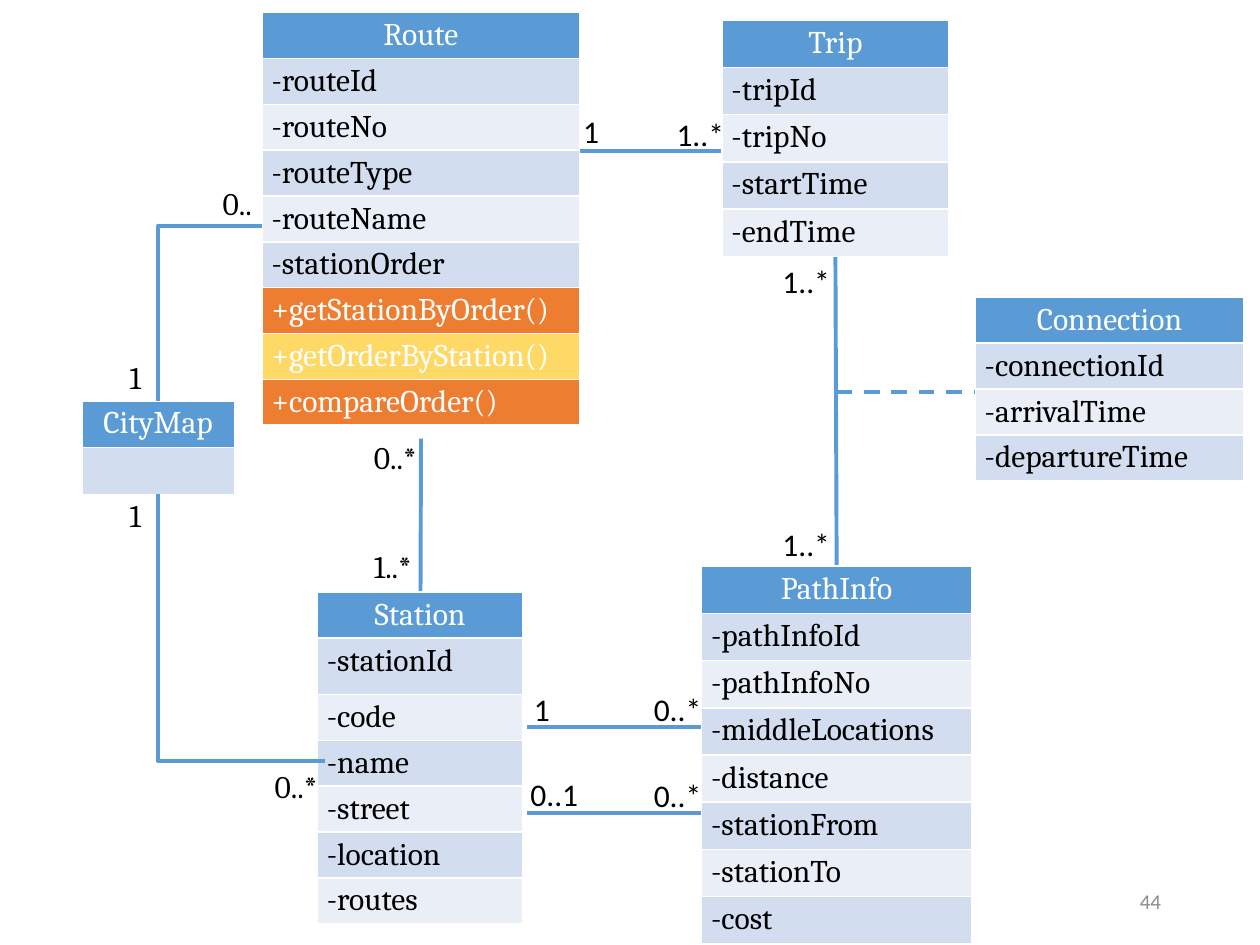
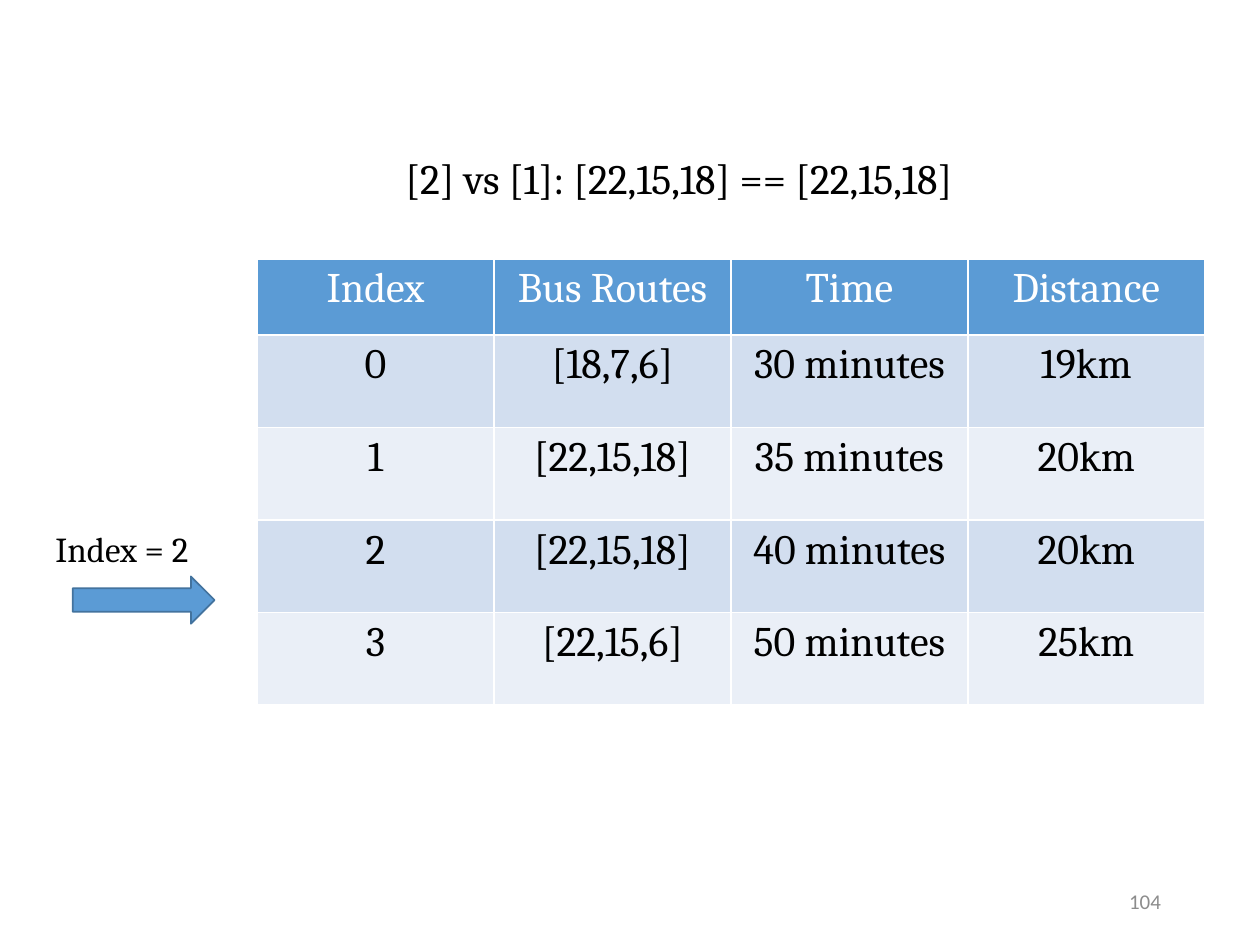
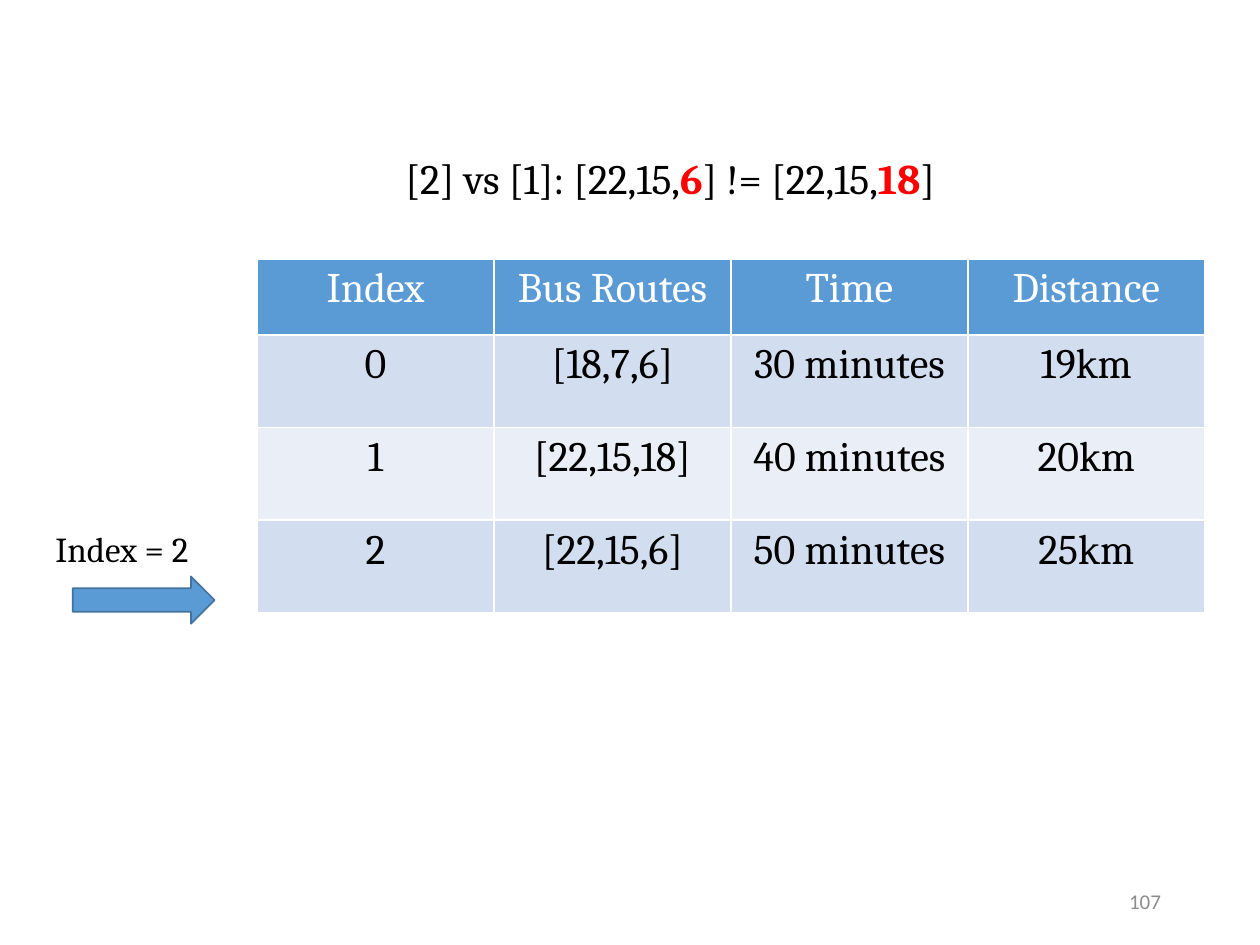
from dataclasses import dataclass

from pptx import Presentation
from pptx.dml.color import RGBColor as RGB
from pptx.enum.dml import MSO_LINE as Dash
from pptx.enum.shapes import MSO_CONNECTOR as Conn, MSO_SHAPE as Shape
from pptx.enum.text import MSO_ANCHOR as Anchor, MSO_AUTO_SIZE as Fit, PP_ALIGN as Align
from pptx.oxml.ns import qn
from pptx.oxml.xmlchemy import OxmlElement as Node
from pptx.util import Pt


@dataclass(frozen=True)
class Theme:
    blue: str = "5B9BD5"
    edge: str = "43739E"
    bands: tuple = ("EAEFF7", "D2DEEF")
    calls: tuple = ("ED7D31", "FFD966")
    white: str = "FFFFFF"
    black: str = "000000"
    gray: str = "8C8C8C"
    red: str = "FF0000"
    serif: str = "Cambria"
    sans: str = "Calibri"
    big: float = 24
    mid: float = 20
    body: float = 18
    small: float = 12


T = Theme()


def write(frame, parts, size, font, align=Align.LEFT):
    """Fill the first paragraph with (text, colour, bold) runs."""
    para = frame.paragraphs[0]
    para.alignment = align
    for text, color, bold in parts:
        run = para.add_run()
        run.text = text
        run.font.size = Pt(size)
        run.font.name = font
        run.font.bold = bold
        run.font.color.rgb = RGB.from_string(color)


def grid(slide, x, y, wide, highs, rows, size, align, inset):
    """Add a table with a blue head row, banded rows and coloured method rows."""
    count = len(rows[0])
    table = slide.shapes.add_table(
        len(rows), count, Pt(x), Pt(y), Pt(wide * count), Pt(sum(highs))).table
    for col in table.columns:
        col.width = Pt(wide)
    for r, row in enumerate(rows):
        table.rows[r].height = Pt(highs[r])
        for c, text in enumerate(row):
            cell = table.cell(r, c)
            cell.margin_left = cell.margin_right = Pt(inset * 2)
            cell.margin_top = cell.margin_bottom = Pt(inset)
            call = text.startswith("+")
            fill = T.blue if r == 0 else (T.calls if call else T.bands)[r % 2]
            cell.fill.solid()
            cell.fill.fore_color.rgb = RGB.from_string(fill)
            if text:
                color = T.white if r == 0 or call else T.black
                write(cell.text_frame, [(text, color, False)], size, T.serif,
                      Align.CENTER if r == 0 else align)


deck = Presentation()
deck.slide_width, deck.slide_height = Pt(720), Pt(540)
blank = deck.slide_layouts[6]
model, same, differ = [deck.slides.add_slide(blank) for _ in range(3)]

# Class model: straight links lie under the class boxes, elbows over them
links = [
    (Conn.STRAIGHT, 326, 86.4, 414.7, 86.4),
    (Conn.STRAIGHT, 301, 415.4, 440, 415.4),
    (Conn.STRAIGHT, 301, 464.4, 440, 464.4),
    (Conn.STRAIGHT, 477.4, 146.2, 478.1, 323.3),
    (Conn.STRAIGHT, 240.6, 250.6, 240.3, 338.4),
    (Conn.STRAIGHT, 478, 224, 557.3, 224),
    (Conn.ELBOW, 149.8, 128.9, 90.5, 229),
    (Conn.ELBOW, 185.8, 435, 90.5, 282.2),
]
dashed = links[5]
classes = [
    (149.8, 7.2, 181.4, 26.2,
     "Route -routeId -routeNo -routeType -routeName -stationOrder "
     "+getStationByOrder() +getOrderByStation() +compareOrder()"),
    (557.3, 169.9, 153.4, 26.2,
     "Connection -connectionId -arrivalTime -departureTime"),
    (181.4, 338.4, 117.4, 26.2,
     "Station -stationId -code -name -street -location -routes"),
    (412.6, 11.5, 129.6, 27, "Trip -tripId -tripNo -startTime -endTime"),
    (46.8, 229, 87.1, 26.6, "CityMap"),
    (401, 323.5, 154.1, 27,
     "PathInfo -pathInfoId -pathInfoNo -middleLocations -distance "
     "-stationFrom -stationTo -cost"),
]

for kind in (Conn.STRAIGHT, Conn.ELBOW):
    for link in links:
        if link[0] != kind:
            continue
        line = model.shapes.add_connector(kind, *[Pt(v) for v in link[1:]])
        line.line.color.rgb = RGB.from_string(T.blue)
        line.line.width = Pt(2.25)
        if link is dashed:
            line.line.dash_style = Dash.DASH
        prop = line._element.spPr
        prop.append(Node("a:effectLst"))
        if kind == Conn.ELBOW:
            prop.find(qn("a:prstGeom")).set("prst", "bentConnector2")
    if kind == Conn.STRAIGHT:
        for x, y, wide, high, names in classes:
            rows = [[name] for name in names.split()]
            if len(rows) == 1:
                rows.append([""])
            highs = [32.3 if row == ["-stationId"] else high for row in rows]
            grid(model, x, y, wide, highs, rows, T.body, Align.LEFT, 2.7)

# Route lists
head = ["Index", "Bus Routes", "Time", "Distance"]
trips = [
    (same, [("[18,7,6]", 30, 19), ("[22,15,18]", 35, 20),
            ("[22,15,18]", 40, 20), ("[22,15,6]", 50, 25)]),
    (differ, [("[18,7,6]", 30, 19), ("[22,15,18]", 40, 20), ("[22,15,6]", 50, 25)]),
]
for slide, data in trips:
    rows = [head] + [[str(i), stops, f"{time} minutes", f"{dist}km"]
                     for i, (stops, time, dist) in enumerate(data)]
    highs = [43.4] + [52.9] * len(data)
    grid(slide, 146.9, 147.9, 135.4, highs, rows, T.big, Align.CENTER, 3.6)
    arrow = slide.shapes.add_shape(
        Shape.RIGHT_ARROW, Pt(41.6), Pt(329.4), Pt(81), Pt(27))
    arrow.shadow.inherit = False
    arrow.fill.solid()
    arrow.fill.fore_color.rgb = RGB.from_string(T.blue)
    arrow.line.color.rgb = RGB.from_string(T.edge)
    arrow.line.width = Pt(1)

# Labels: slide, left, top, width, height, runs, size, font
ends = [
    ("1", T.sans, 23.8, [(298, 391), (326.2, 60.5)]),
    ("0..1", T.sans, 41.8, [(296, 439.2)]),
    ("1..*", T.sans, 41.8, [(440, 146.2), (379.5, 61.9), (440, 296.6)]),
    ("0..*", T.sans, 41.8, [(366.5, 391), (366.5, 440)]),
    ("0..*", T.serif, 40.3, [(206.6, 247), (149.8, 434.9)]),
    ("1..*", T.serif, 40.3, [(206.6, 308.9)]),
    ("0..", T.serif, 33.1, [(120.2, 101.5)]),
    ("1", T.serif, 24.5, [(67, 200.9), (67, 280)]),
]
labels = [(model, x, y, wide, 29, [(text, T.black, False)], T.body, font)
          for text, font, wide, spots in ends for x, y in spots]
labels += [(slide, 24.5, 298, 94.3, 31.5, [("Index = 2", T.black, False)],
            T.mid, T.serif) for slide in (same, differ)]
labels += [
    (same, 224.6, 83.5, 371.5, 36.4,
     [("[2] vs [1]: [22,15,18] == [22,15,18]", T.black, False)], T.big, T.serif),
    (differ, 224.6, 83.5, 351.4, 36.4,
     [("[2] vs [1]: [22,15,", T.black, False), ("6", T.red, True),
      ("] != [22,15,", T.black, False), ("18", T.red, True),
      ("]", T.black, False)], T.big, T.serif),
]
for slide, x, y, wide, high, parts, size, font in labels:
    frame = slide.shapes.add_textbox(Pt(x), Pt(y), Pt(wide), Pt(high)).text_frame
    frame.word_wrap = False
    frame.auto_size = Fit.SHAPE_TO_FIT_TEXT
    write(frame, parts, size, font)

# Page numbers
for slide, page in ((model, "44"), (same, "104"), (differ, "107")):
    frame = slide.shapes.add_textbox(Pt(508.5), Pt(500.5), Pt(162), Pt(28.75)).text_frame
    frame.word_wrap = True
    frame.vertical_anchor = Anchor.MIDDLE
    write(frame, [(page, T.gray, False)], T.small, T.sans, Align.RIGHT)

deck.save("out.pptx")
